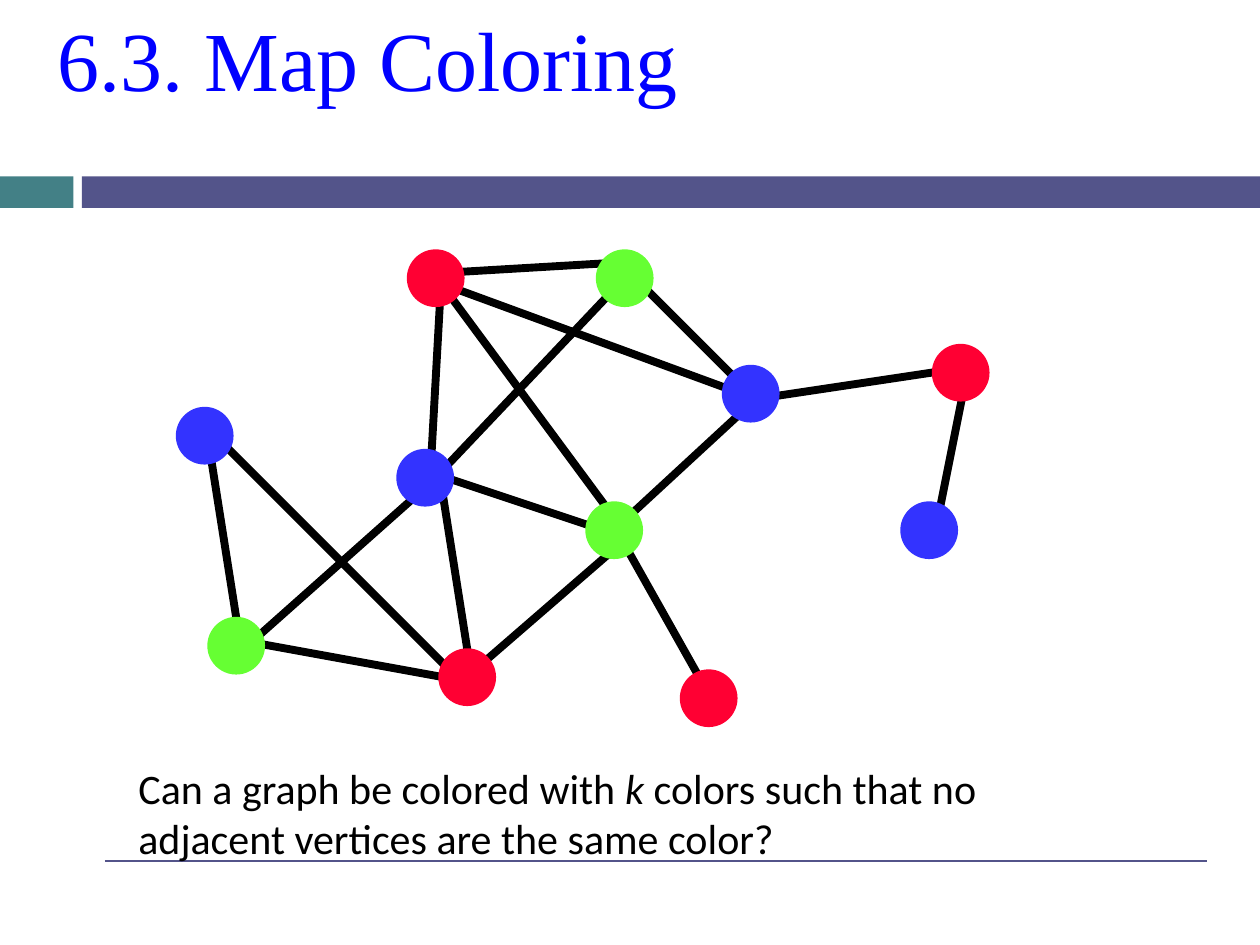
from dataclasses import dataclass

from lxml import etree
from pptx import Presentation
from pptx.dml.color import RGBColor
from pptx.enum import shapes, text
from pptx.oxml import ns
from pptx.util import Inches, Pt

COLUMNS, ROWS = 120, 90
SLIDE_WIDTH, SLIDE_HEIGHT = Inches(10), Inches(7.5)
NODE_SIZE = 5


@dataclass(frozen=True)
class Theme:
    teal: str = "438086"
    indigo: str = "53548A"
    title: str = "0000FF"
    ink: str = "000000"
    red: str = "FF0033"
    green: str = "66FF33"
    blue: str = "3333FF"
    title_font: str = "Times New Roman"
    body_font: str = "Calibri"
    title_size: int = 48
    body_size: int = 24
    edge_width: float = 4.5
    outline_width: float = 3
    rule_width: float = 1.5


THEME = Theme()

NODES = [
    (39, 24, THEME.red), (17, 39, THEME.blue), (56, 48, THEME.green),
    (65, 64, THEME.red), (69, 35, THEME.blue), (86, 48, THEME.blue),
    (89, 33, THEME.red), (20, 59, THEME.green), (38, 43, THEME.blue),
    (42, 62, THEME.red), (57, 24, THEME.green),
]
EDGES = [
    ((20, 43), (23, 62)), ((23, 62), (41, 46)), ((42, 27), (41, 45)),
    ((42, 46), (45, 65)), ((59, 51), (41, 45)), ((60, 51), (45, 64)),
    ((61, 27), (71, 37)), ((59, 51), (68, 67)), ((92, 36), (89, 51)),
    ((92, 35), (72, 38)), ((59, 25), (42, 26)), ((59, 27), (41, 46)),
    ((42, 27), (59, 50)), ((72, 38), (59, 50)), ((72, 38), (42, 27)),
    ((20, 41), (44, 65)), ((23, 61), (45, 65)),
]
GRAPH_LEFT = min(column for column, _, _ in NODES)
GRAPH_TOP = min(row for _, row, _ in NODES)


def x(columns):
    return round(SLIDE_WIDTH * columns / COLUMNS)


def y(rows):
    return round(SLIDE_HEIGHT * rows / ROWS)


def add_filled(parent, kind, box, color):
    left, top, width, height = box
    shape = parent.add_shape(kind, x(left), y(top), x(width), y(height))
    shape.shadow.inherit = False
    shape.fill.solid()
    shape.fill.fore_color.rgb = RGBColor.from_string(color)
    shape.line.fill.background()
    return shape


def add_line(parent, start, end, color, width):
    connector = parent.add_connector(
        shapes.MSO_CONNECTOR.STRAIGHT, x(start[0]), y(start[1]), x(end[0]), y(end[1]))
    connector.line.color.rgb = RGBColor.from_string(color)
    connector.line.width = Pt(width)
    etree.SubElement(connector._element.spPr, ns.qn("a:effectLst"))


def add_text(slide, box, pieces, font, size, color):
    left, top, width, height = box
    shape = slide.shapes.add_textbox(x(left), y(top), x(width), y(height))
    frame = shape.text_frame
    frame.word_wrap = True
    frame.vertical_anchor = text.MSO_ANCHOR.TOP
    paragraph = frame.paragraphs[0]
    for wording, italic in pieces:
        run = paragraph.add_run()
        run.text = wording
        run.font.name = font
        run.font.size = Pt(size)
        run.font.italic = italic
        run.font.color.rgb = RGBColor.from_string(color)
    return frame


def add_title(slide, box):
    frame = add_text(slide, box, [("6.3. Map Coloring", False)],
                     THEME.title_font, THEME.title_size, THEME.title)
    frame.margin_left = frame.margin_right = frame.margin_bottom = 0
    frame.margin_top = Inches(0.06)


def add_band(slide, box):
    left, top, width, height = box
    accent, gap = 7, 0.8
    rectangle = shapes.MSO_SHAPE.RECTANGLE
    add_filled(slide.shapes, rectangle, (left, top, accent, height), THEME.teal)
    add_filled(slide.shapes, rectangle,
               (left + accent + gap, top, width - accent - gap, height), THEME.indigo)


def add_graph(slide, origin):
    across, down = origin[0] - GRAPH_LEFT, origin[1] - GRAPH_TOP
    group = slide.shapes.add_group_shape()
    for edge in EDGES:
        start, end = [(column + across, row + down) for column, row in edge]
        add_line(group.shapes, start, end, THEME.ink, THEME.edge_width)
    for column, row, color in NODES:
        node = add_filled(group.shapes, shapes.MSO_SHAPE.OVAL,
                          (column + across, row + down, NODE_SIZE, NODE_SIZE), color)
        node.line.color.rgb = RGBColor.from_string(color)
        node.line.width = Pt(THEME.outline_width)


def add_question(slide, box):
    pieces = [
        ("Can a graph be colored with ", False),
        ("k", True),
        (" colors such that no adjacent vertices are the same color?", False),
    ]
    add_text(slide, box, pieces, THEME.body_font, THEME.body_size, THEME.ink)


def main():
    presentation = Presentation()
    presentation.slide_width, presentation.slide_height = SLIDE_WIDTH, SLIDE_HEIGHT
    slide = presentation.slides.add_slide(presentation.slide_layouts[6])
    add_band(slide, (0, 16.8, COLUMNS, 3))
    add_line(slide.shapes, (10, 82), (115, 82), THEME.indigo, THEME.rule_width)
    add_title(slide, (5.5, 0, 108, 16))
    add_graph(slide, (17, 24))
    add_question(slide, (12, 72, 94, 11))
    presentation.save("out.pptx")


if __name__ == "__main__":
    main()
